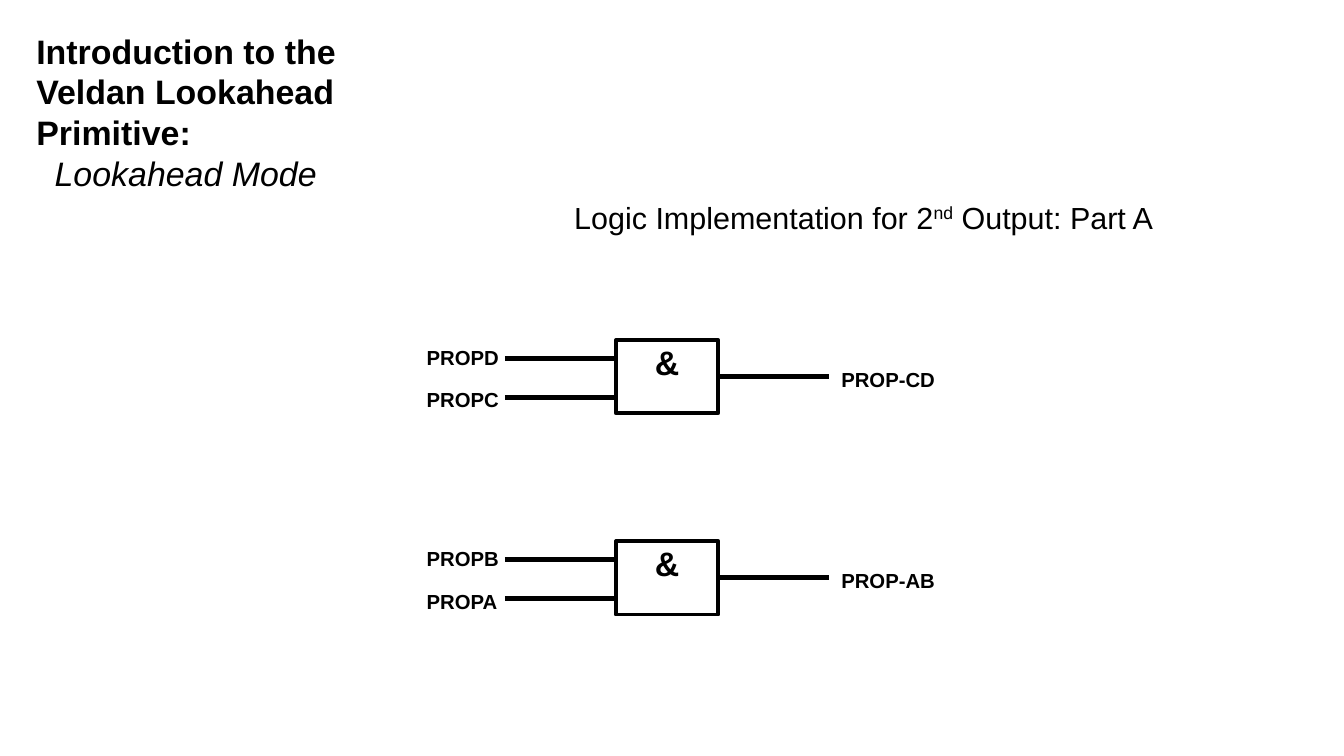
import pptx
import pptx.dml.color
import pptx.enum.shapes
import pptx.enum.text
import pptx.oxml.ns
import pptx.util
from lxml import etree

Inches = pptx.util.Inches
BLACK = "000000"
GATE_LEFT, GATE_WIDTH, GATE_HEIGHT = 5.05, 0.84, 0.6
GATES = [
    (2.79, ("PROPD", "PROPC"), "PROP-CD"),
    (4.44, ("PROPB", "PROPA"), "PROP-AB"),
]
INPUT_OFFSETS = [(0.15, -0.01), (0.47, 0.34)]


def color(value):
    return pptx.dml.color.RGBColor.from_string(value)


def add_span(para, text, size, bold=False, italic=False, baseline=0):
    span = para.add_run()
    span.text = text
    font = span.font
    font.name = "Arial"
    font.size = pptx.util.Pt(size)
    font.bold = bold
    font.italic = italic
    font.color.rgb = color(BLACK)
    if baseline:
        span._r.get_or_add_rPr().set("baseline", str(baseline * 1000))


def add_text_box(page, left, top, width, height):
    box = page.shapes.add_textbox(Inches(left), Inches(top), Inches(width), Inches(height))
    box.text_frame.word_wrap = True
    return box.text_frame


def add_label(page, text, left, top, width):
    frame = add_text_box(page, left, top, width, 0.3)
    add_span(frame.paragraphs[0], text, 12, bold=True)


def add_wire(page, start, end, y):
    wire = page.shapes.add_connector(
        pptx.enum.shapes.MSO_CONNECTOR.STRAIGHT,
        Inches(start), Inches(y), Inches(end), Inches(y),
    )
    wire.line.color.rgb = color(BLACK)
    wire.line.width = pptx.util.Pt(3)
    etree.SubElement(wire._element.spPr, pptx.oxml.ns.qn("a:effectLst"))
    return wire


def add_and_box(page, top):
    box = page.shapes.add_shape(
        pptx.enum.shapes.MSO_SHAPE.RECTANGLE,
        Inches(GATE_LEFT), Inches(top), Inches(GATE_WIDTH), Inches(GATE_HEIGHT),
    )
    box.shadow.inherit = False
    box.fill.background()
    box.line.color.rgb = color(BLACK)
    box.line.width = pptx.util.Pt(2.3)
    frame = box.text_frame
    frame.word_wrap = False
    frame.vertical_anchor = pptx.enum.text.MSO_ANCHOR.TOP
    frame.margin_top = Inches(0.01)
    frame.margin_bottom = 0
    para = frame.paragraphs[0]
    para.alignment = pptx.enum.text.PP_ALIGN.CENTER
    add_span(para, "&", 20, bold=True)
    return box


def add_gate(page, top, inputs, output):
    box = add_and_box(page, top)
    for name, (wire_offset, label_offset) in zip(inputs, INPUT_OFFSETS):
        add_wire(page, 4.14, GATE_LEFT, top + wire_offset)
        add_label(page, name, 3.4, top + label_offset, 0.9)
    output_wire = add_wire(page, GATE_LEFT + GATE_WIDTH, 6.8, top + GATE_HEIGHT / 2)
    output_wire.begin_connect(box, 3)
    add_label(page, output, 6.8, top + 0.17, 1.2)


def add_title(page):
    frame = add_text_box(page, 0.2, 0.2, 3, 1.34)
    add_span(frame.paragraphs[0], "Introduction to the", 20, bold=True)
    add_span(frame.add_paragraph(), "Veldan Lookahead Primitive:", 20, bold=True)
    mode = frame.add_paragraph()
    mode._p.get_or_add_pPr().set("marL", str(Inches(0.15)))
    add_span(mode, "Lookahead Mode", 20, italic=True)


def add_subtitle(page):
    para = add_text_box(page, 4.61, 1.58, 5.11, 0.46).paragraphs[0]
    add_span(para, "Logic Implementation for 2", 18)
    add_span(para, "nd", 18, baseline=33)
    add_span(para, " Output: Part A", 18)


def main():
    deck = pptx.Presentation()
    deck.slide_width = Inches(11.02)
    deck.slide_height = Inches(6.2)
    page = deck.slides.add_slide(deck.slide_layouts[6])
    add_title(page)
    add_subtitle(page)
    for top, inputs, output in GATES:
        add_gate(page, top, inputs, output)
    deck.save("out.pptx")


if __name__ == "__main__":
    main()
